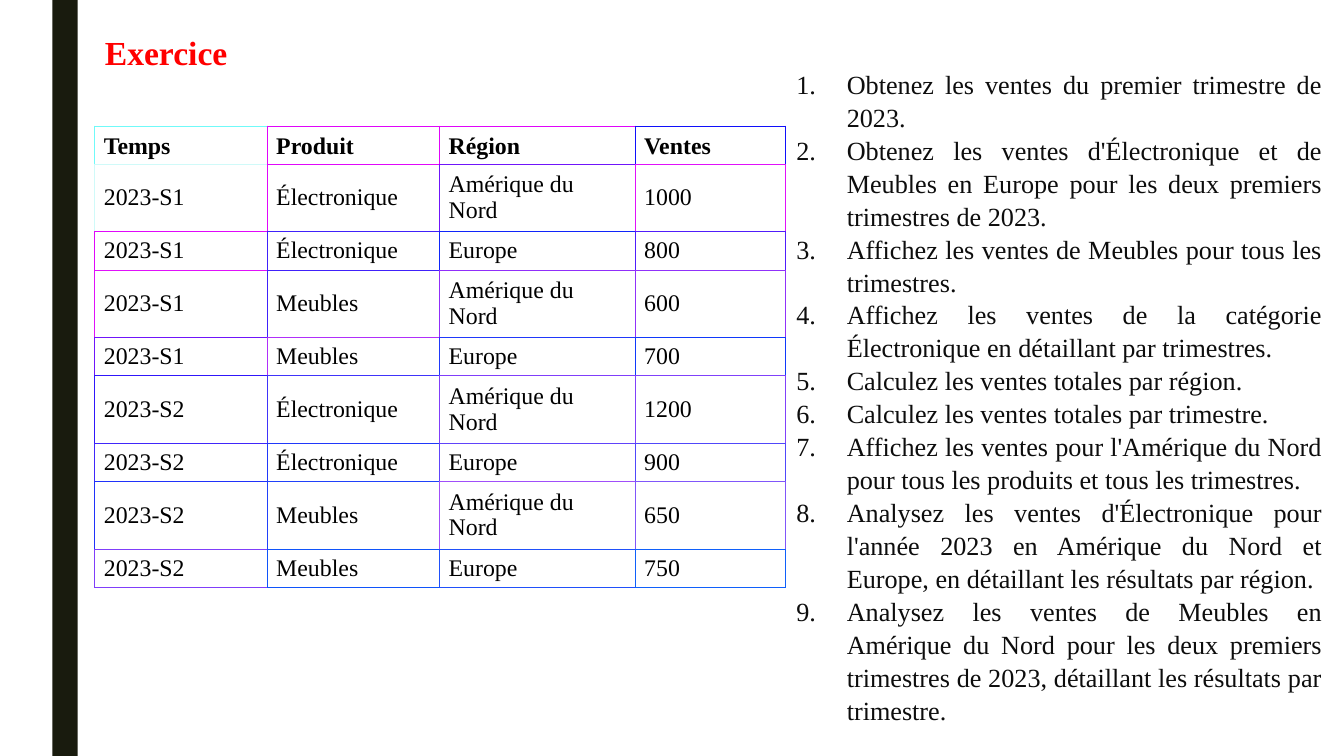
from dataclasses import dataclass

from lxml import etree
from pptx import Presentation
from pptx.dml.color import RGBColor
from pptx.enum import shapes, text
from pptx.oxml import ns
from pptx.util import Inches, Pt

COLORS = {"bar": "191B0E", "title": "FF0000", "table": "000000", "list": "0D0D0D"}
FONT = "Times New Roman"


@dataclass
class Row:
    cells: tuple[str, ...]
    border_colors: tuple[str, ...]
    height: float = 0.38


HEADER = ("Temps", "Produit", "Région", "Ventes")
NORTH, EUROPE = "Amérique du Nord", "Europe"
FIRST, SECOND = "2023-S1", "2023-S2"
ELECTRONICS, FURNITURE = "Électronique", "Meubles"
TALL = 0.67

# Each row gives the colour of every cell's left and top border
ROWS = [
    Row(HEADER, ("70FAF9", "E005FA", "E005FA", "100FFA")),
    Row((FIRST, ELECTRONICS, NORTH, "1000"), ("D0FAF9", "E008FA", "7015FA", "E011FA"), TALL),
    Row((FIRST, ELECTRONICS, EUROPE, "800"), ("E008FA", "4021FA", "1024FA", "501DFA")),
    Row((FIRST, FURNITURE, NORTH, "600"), ("E011FA", "4021FA", "902EFA", "9031FA"), TALL),
    Row((FIRST, FURNITURE, EUROPE, "700"), ("7015FA", "B02FFA", "2038FA", "1039FA")),
    Row((SECOND, ELECTRONICS, NORTH, "1200"), ("3016FA", "4033FA", "803EFA", "8041FA"), TALL),
    Row((SECOND, ELECTRONICS, EUROPE, "900"), ("4027FA", "2038FA", "6043FA", "5047FA")),
    Row((SECOND, FURNITURE, NORTH, "650"), ("2032FA", "2041FA", "A04EFA", "8056FA"), TALL),
    Row((SECOND, FURNITURE, EUROPE, "750"), ("803EFA", "1054FA", "2050FA", "1060FA")),
]
COLUMN_WIDTHS = (1.71, 1.71, 1.94, 1.49)

QUESTIONS = [
    "Obtenez les ventes du premier trimestre de 2023.",
    "Obtenez les ventes d'Électronique et de Meubles en Europe pour les deux premiers trimestres de 2023.",
    "Affichez les ventes de Meubles pour tous les trimestres.",
    "Affichez les ventes de la catégorie Électronique en détaillant par trimestres.",
    "Calculez les ventes totales par région.",
    "Calculez les ventes totales par trimestre.",
    "Affichez les ventes pour l'Amérique du Nord pour tous les produits et tous les trimestres.",
    "Analysez les ventes d'Électronique pour l'année 2023 en Amérique du Nord et Europe, "
    "en détaillant les résultats par région.",
    "Analysez les ventes de Meubles en Amérique du Nord pour les deux premiers trimestres de 2023, "
    "détaillant les résultats par trimestre.",
]


def apply(target, values: dict) -> None:
    for name, value in values.items():
        setattr(target, name, value)


def place(shape, left: float, top: float, width: float, height: float) -> None:
    apply(shape, {"left": Inches(left), "top": Inches(top),
                  "width": Inches(width), "height": Inches(height)})


def write(paragraph, content: str, size: float, color: str, bold: bool = False) -> None:
    run = paragraph.add_run()
    run.text = content
    apply(run.font, {"name": FONT, "size": Pt(size), "bold": bold})
    run.font.color.rgb = RGBColor.from_string(COLORS[color])


def add_border(cell, side: str, color: str, width: float) -> None:
    line = etree.SubElement(cell._tc.get_or_add_tcPr(), ns.qn(f"a:ln{side}"), w=str(Pt(width)))
    fill = etree.SubElement(line, ns.qn("a:solidFill"))
    etree.SubElement(fill, ns.qn("a:srgbClr"), val=color)


def add_bar(slide) -> None:
    bar = slide.shapes.add_shape(shapes.MSO_SHAPE.RECTANGLE, Inches(0.52), 0, Inches(0.25), Inches(7.5))
    bar.shadow.inherit = False
    bar.fill.solid()
    bar.fill.fore_color.rgb = RGBColor.from_string(COLORS["bar"])
    bar.line.fill.background()


def add_title(slide) -> None:
    title = slide.shapes.title
    place(title, 0.94, 0.27, 1.51, 0.5)
    apply(title.text_frame, {"word_wrap": False, "auto_size": text.MSO_AUTO_SIZE.SHAPE_TO_FIT_TEXT,
                             "vertical_anchor": text.MSO_ANCHOR.TOP})
    paragraph = title.text_frame.paragraphs[0]
    paragraph.alignment = text.PP_ALIGN.LEFT
    write(paragraph, "Exercice", 24, "title", bold=True)


def add_sales_table(slide) -> None:
    frame = slide.shapes.add_table(len(ROWS), len(HEADER), Inches(0.94), Inches(1.25),
                                   Inches(sum(COLUMN_WIDTHS)), Inches(sum(row.height for row in ROWS)))
    table = frame.table
    apply(table, {"first_row": False, "horz_banding": False})
    for column, width in zip(table.columns, COLUMN_WIDTHS):
        column.width = Inches(width)
    last_row, last_column = len(ROWS) - 1, len(HEADER) - 1
    for i, row in enumerate(ROWS):
        table.rows[i].height = Inches(row.height)
        for j, content in enumerate(row.cells):
            cell = table.cell(i, j)
            # Shared edges take the colour of the cell to the right or below
            own = row.border_colors[j]
            right = row.border_colors[min(j + 1, last_column)]
            below = ROWS[min(i + 1, last_row)].border_colors[j]
            add_border(cell, "L", own, 0.75)
            add_border(cell, "R", right, 0.75)
            add_border(cell, "T", own, 1 if i else 0.75)
            add_border(cell, "B", below, 1 if i < last_row else 0.75)
            cell.fill.background()
            apply(cell, {"margin_left": Inches(0.09), "margin_right": Inches(0.09),
                         "margin_top": Inches(0.05), "margin_bottom": Inches(0.05),
                         "vertical_anchor": text.MSO_ANCHOR.MIDDLE if i else text.MSO_ANCHOR.BOTTOM})
            paragraph = cell.text_frame.paragraphs[0]
            paragraph.line_spacing = 0.96
            write(paragraph, content, 17, "table", bold=i == 0)


def add_questions(slide) -> None:
    box = slide.shapes.add_textbox(Inches(7.8), Inches(0.61), Inches(5.41), Inches(6.07))
    frame = box.text_frame
    apply(frame, {"word_wrap": True, "auto_size": text.MSO_AUTO_SIZE.SHAPE_TO_FIT_TEXT})
    for index, question in enumerate(QUESTIONS):
        paragraph = frame.add_paragraph() if index else frame.paragraphs[0]
        apply(paragraph, {"alignment": text.PP_ALIGN.JUSTIFY, "line_spacing": 1.05})
        properties = paragraph._p.get_or_add_pPr()
        properties.set("marL", str(Inches(0.5)))
        properties.set("indent", str(Inches(-0.5)))
        etree.SubElement(properties, ns.qn("a:buFont"), typeface="+mj-lt")
        etree.SubElement(properties, ns.qn("a:buAutoNum"), type="arabicPeriod")
        write(paragraph, question, 18.7, "list")


def main() -> None:
    presentation = Presentation()
    apply(presentation, {"slide_width": Inches(13.33), "slide_height": Inches(7.5)})
    slide = presentation.slides.add_slide(presentation.slide_layouts[5])
    add_bar(slide)
    add_title(slide)
    add_sales_table(slide)
    add_questions(slide)
    presentation.save("out.pptx")


if __name__ == "__main__":
    main()
